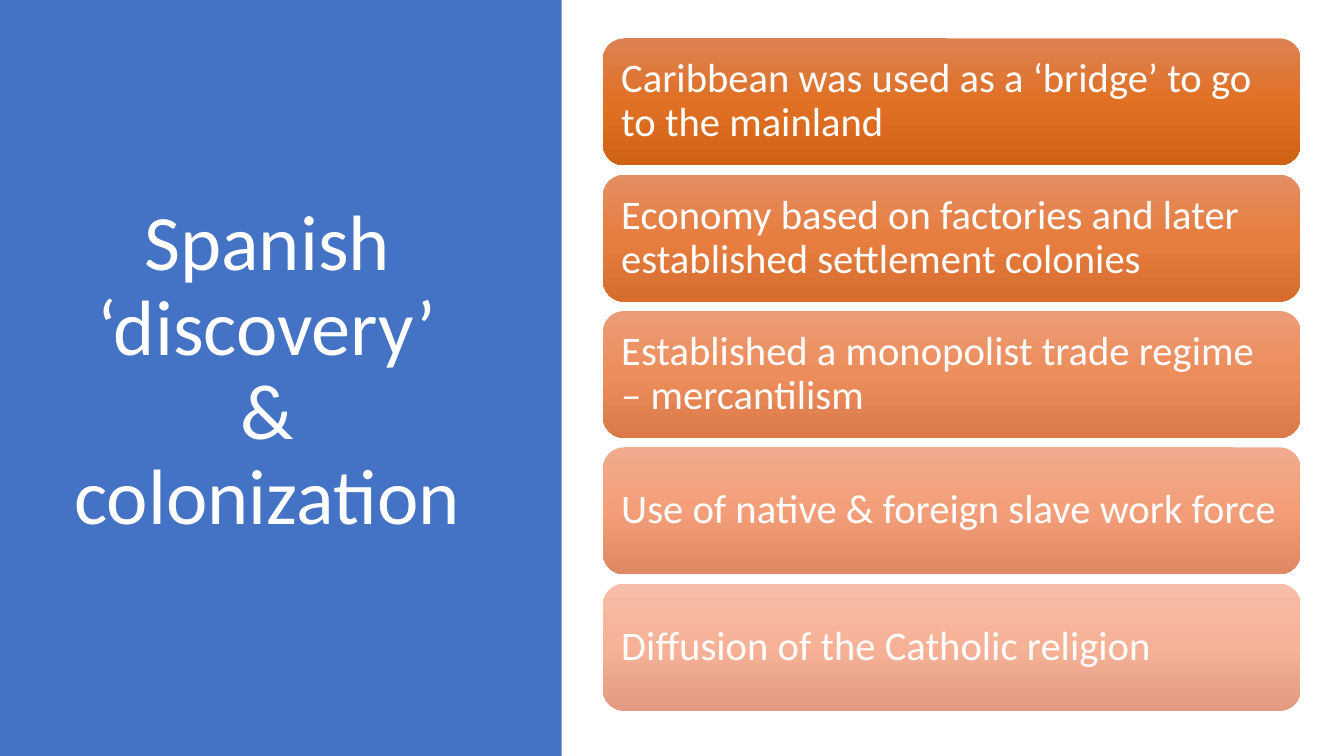
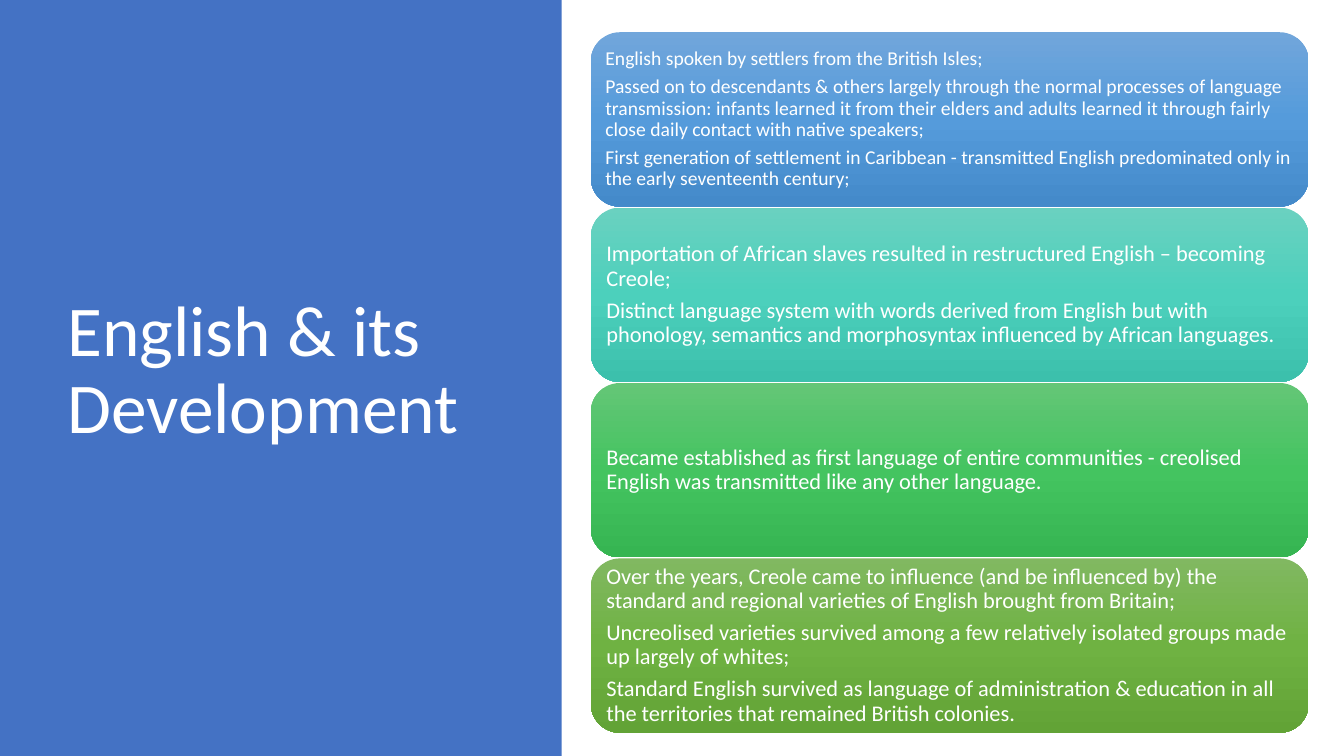
import copy

import pptx
import pptx.dml.color
import pptx.enum.dml
import pptx.enum.shapes
import pptx.enum.text
import pptx.util

Inches = pptx.util.Inches
Pt = pptx.util.Pt
PP_ALIGN = pptx.enum.text.PP_ALIGN
MIDDLE = pptx.enum.text.MSO_ANCHOR.MIDDLE
MSO_SHAPE = pptx.enum.shapes.MSO_SHAPE

FONT = "Calibri"
SLIDE_W, SLIDE_H = 13.33, 7.5
BAND_W = 5.57

# Gradients run from top to bottom: start, middle, end
COLORS = {
    "band": "4472C4",
    "text": "FFFFFF",
    "orange 1": ("DD8254", "E07024", "D06216"),
    "orange 2": ("E48E63", "E77D3F", "D66D2F"),
    "orange 3": ("EB9C77", "ED8D5B", "DB7A49"),
    "orange 4": ("F1AB8E", "F39E78", "DF8964"),
    "orange 5": ("F6BDA8", "F7B196", "E29A80"),
    "blue": ("71A6DB", "559BDB", "448ACA"),
    "teal": ("6AD1C0", "4CD0BC", "3CC0AC"),
    "green": ("64C677", "44C460", "36B552"),
    "olive": ("81B861", "6FB242", "62A336"),
}

# Each panel: gradient, text size, inset, paragraphs
SPANISH_PANELS = [
    ("orange 1", 29, 0.12, ["Caribbean was used as a ‘bridge’ to go to the mainland"]),
    ("orange 2", 29, 0.12, ["Economy based on factories and later established settlement colonies"]),
    ("orange 3", 29, 0.12, ["Established a monopolist trade regime – mercantilism"]),
    ("orange 4", 29, 0.12, ["Use of native & foreign slave work force"]),
    ("orange 5", 29, 0.12, ["Diffusion of the Catholic religion"]),
]
ENGLISH_PANELS = [
    ("blue", 14, 0.06, [
        "English spoken by settlers from the British Isles;",
        "Passed on to descendants & others largely through the normal processes of "
        "language transmission: infants learned it from their elders and adults "
        "learned it through fairly close daily contact with native speakers;",
        "First generation of settlement in Caribbean - transmitted English "
        "predominated only in the early seventeenth century;",
    ]),
    ("teal", 16, 0.07, [
        "Importation of African slaves resulted in restructured English – becoming Creole;",
        "Distinct language system with words derived from English but with phonology, "
        "semantics and morphosyntax influenced by African languages.",
    ]),
    ("green", 16, 0.07, [
        "Became established as first language of entire communities - creolised "
        "English was transmitted like any other language.",
    ]),
    ("olive", 16, 0.07, [
        "Over the years, Creole came to influence (and be influenced by) the standard "
        "and regional varieties of English brought from Britain;",
        "Uncreolised varieties survived among a few relatively isolated groups made "
        "up largely of whites;",
        "Standard English survived as language of administration & education in all "
        "the territories that remained British colonies.",
    ]),
]


def rgb(value):
    return pptx.dml.color.RGBColor.from_string(value)


def add_plain_shape(s, kind, x, y, w, h):
    sp = s.shapes.add_shape(kind, Inches(x), Inches(y), Inches(w), Inches(h))
    sp.shadow.inherit = False
    sp.line.fill.background()
    return sp


def fill_gradient(sp, colors):
    sp.fill.gradient()
    sp.fill.gradient_angle = 270
    # A new gradient has two stops; a third goes in the middle
    first = sp.fill._xPr.find(".//" + "{http://schemas.openxmlformats.org/drawingml/2006/main}gs")
    first.addnext(copy.deepcopy(first))
    for stop, position, color in zip(sp.fill.gradient_stops, (0, 0.5, 1), colors):
        stop.position = position
        stop.color.rgb = rgb(color)


def write_text(tf, paragraphs, size, inset_x, inset_y, align, space_after=0):
    tf.word_wrap = True
    tf.vertical_anchor = MIDDLE
    tf.margin_left = tf.margin_right = Inches(inset_x)
    tf.margin_top = tf.margin_bottom = Inches(inset_y)
    for i, text in enumerate(paragraphs):
        p = tf.add_paragraph() if i else tf.paragraphs[0]
        p.alignment = align
        p.line_spacing = 0.9
        p.space_after = Pt(space_after)
        r = p.add_run()
        r.text = text
        r.font.name = FONT
        r.font.size = Pt(size)
        r.font.color.rgb = rgb(COLORS["text"])


def add_title_slide(prs, title, size, align):
    """Blank slide with the colour band and its title."""
    s = prs.slides.add_slide(prs.slide_layouts[6])
    band = add_plain_shape(s, MSO_SHAPE.RECTANGLE, 0, 0, BAND_W, SLIDE_H)
    band.fill.solid()
    band.fill.fore_color.rgb = rgb(COLORS["band"])
    box = s.shapes.add_textbox(Inches(0.57), Inches(0.68), Inches(4.16), Inches(6.02))
    write_text(box.text_frame, [title], size, 0.1, 0.05, align)
    return s


def add_panels(s, panels, x, w, top, bottom, h):
    """Stack of rounded panels, spread evenly from top to bottom."""
    pitch = (bottom - top - h) / (len(panels) - 1)
    for i, (gradient, size, inset, paragraphs) in enumerate(panels):
        sp = add_plain_shape(s, MSO_SHAPE.ROUNDED_RECTANGLE, x, top + i * pitch, w, h)
        fill_gradient(sp, COLORS[gradient])
        write_text(sp.text_frame, paragraphs, size, inset, inset,
                   PP_ALIGN.LEFT, space_after=0.35 * size)


def main():
    prs = pptx.Presentation()
    prs.slide_width, prs.slide_height = Inches(SLIDE_W), Inches(SLIDE_H)

    # Slide 1: Spanish colonization
    s = add_title_slide(prs, "Spanish ‘discovery’ & colonization", 56, PP_ALIGN.CENTER)
    add_panels(s, SPANISH_PANELS, x=5.98, w=6.92, top=0.38, bottom=7.05, h=1.26)

    # Slide 2: development of English
    s = add_title_slide(prs, "English & its Development", 51, PP_ALIGN.LEFT)
    add_panels(s, ENGLISH_PANELS, x=5.86, w=7.12, top=0.32, bottom=7.27, h=1.73)

    prs.save("out.pptx")


if __name__ == "__main__":
    main()
